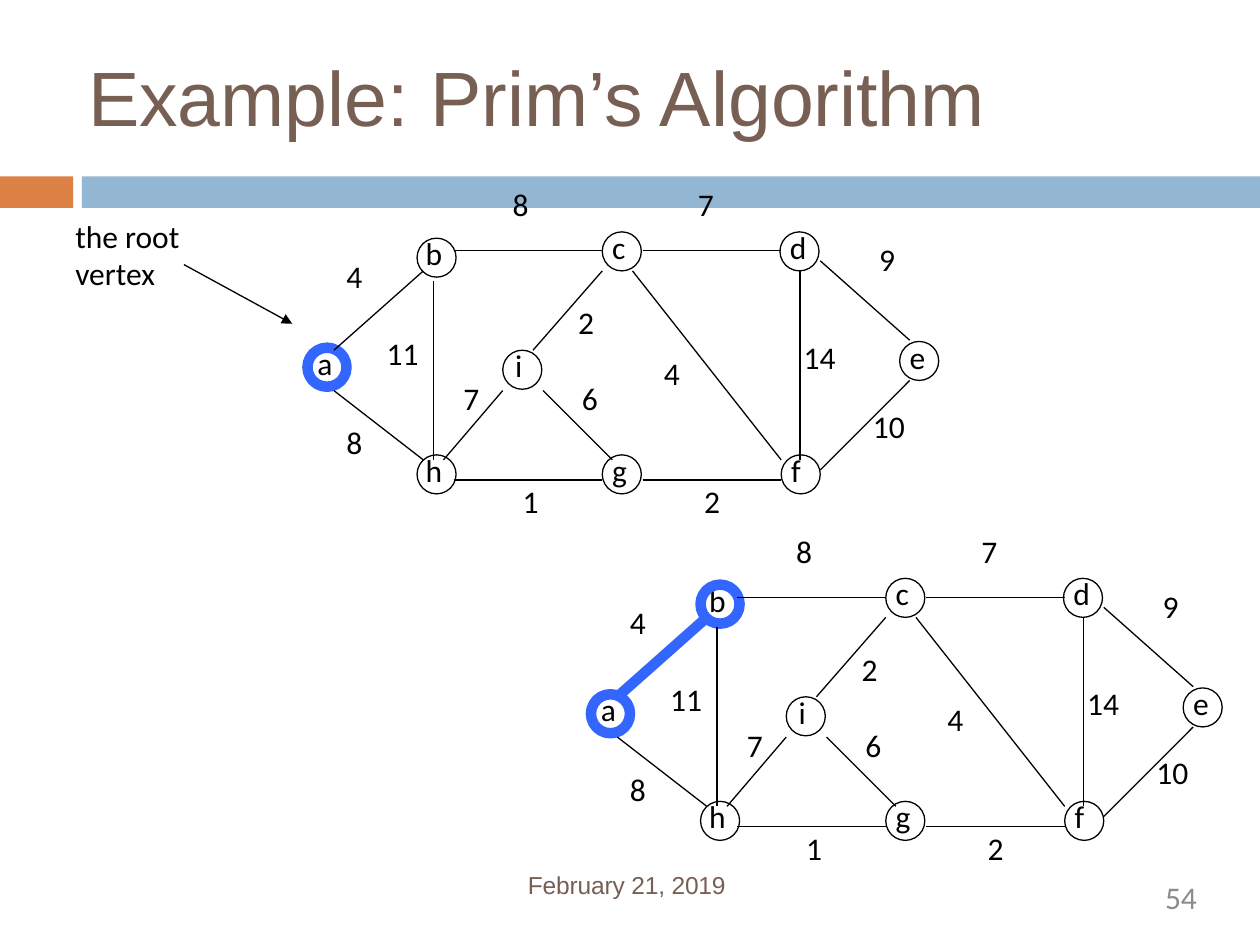
from pptx import Presentation
from pptx.dml.color import RGBColor
from pptx.enum.shapes import MSO_CONNECTOR as CONN, MSO_SHAPE as SHAPE
from pptx.enum.text import MSO_ANCHOR as ANCHOR, MSO_AUTO_SIZE as AUTO, PP_ALIGN as ALIGN
from pptx.oxml.ns import qn
from pptx.util import Pt
from lxml import etree

PX = 9144
COLORS = {"title": "775F54", "orange": "DD8046", "band": "93B6D2",
          "ink": "000000", "picked": "3366FF", "number": "8C8C8C"}
THIN, THICK = 0.75, 6
NODE = 31

BANDS = [(0, 58, "orange"), (65, 935, "band")]
NODES = [
    ("a", 244, 276, -2, 32), ("b", 331, 189, -3, 34), ("h", 331, 361, -3, 34),
    ("c", 478, 184, -2, 32), ("d", 619, 184, -2, 34), ("e", 714, 271, -2, 32),
    ("f", 620, 361, -2, 29), ("g", 478, 361, -2, 34), ("i", 399, 278, 0, 28),
]
EDGES = [
    ("ab", 265, 278, 336, 215), ("ah", 265, 310, 336, 365),
    ("bh", 344, 223, 344, 365), ("bc", 360, 199, 478, 199),
    ("hg", 360, 381, 478, 381), ("gf", 510, 381, 620, 381),
    ("cf", 502, 215, 620, 365), ("cd", 510, 199, 620, 199),
    ("df", 635, 215, 635, 365), ("de", 651, 207, 722, 270),
    ("fe", 651, 373, 722, 302), ("ig", 431, 310, 486, 365),
    ("hi", 352, 365, 399, 310), ("ic", 423, 278, 478, 215),
]
WEIGHTS = [
    ("4", 265, 199), ("8", 397, 142), ("7", 544, 142), ("9", 688, 186),
    ("10", 683, 318), ("14", 628, 263), ("4", 517, 276), ("2", 449, 236),
    ("2", 549, 378), ("6", 452, 296), ("1", 405, 378), ("7", 358, 296),
    ("11", 297, 260), ("8", 265, 331),
]
STEPS = [(0, 0, {"a"}), (225, 275, {"a", "b", "ab"})]


def rgb(name):
    return RGBColor.from_string(COLORS[name])


def emu(*values):
    return [v * PX for v in values]


def write(sp, text, size=18, font="Calibri", color="ink", align=ALIGN.LEFT,
          wrap=True, inset=True, anchor=ANCHOR.TOP, leading=None, spacing=None):
    tf = sp.text_frame
    tf.word_wrap, tf.vertical_anchor = wrap, anchor
    tf.auto_size = AUTO.SHAPE_TO_FIT_TEXT
    if not inset:
        tf.margin_left = tf.margin_top = tf.margin_right = tf.margin_bottom = 0
    p = tf.paragraphs[0]
    p.alignment = align
    if leading:
        p.line_spacing = Pt(leading)
    r = p.add_run()
    r.text = text
    r.font.size, r.font.name = Pt(size), font
    r.font.color.rgb = rgb(color)
    if spacing:
        r.font._element.set("spc", str(spacing))


def add_text(shapes, text, x, y, w, h, **style):
    write(shapes.add_textbox(*emu(x, y, w, h)), text, **style)


def add_line(shapes, x1, y1, x2, y2, color="ink", width=THIN, arrow=False):
    line = shapes.add_connector(CONN.STRAIGHT, *emu(x1, y1, x2, y2))
    line.line.color.rgb, line.line.width = rgb(color), Pt(width)
    if arrow:
        etree.SubElement(line.line._get_or_add_ln(), qn("a:tailEnd"), type="triangle")
    etree.SubElement(line._element.spPr, qn("a:effectLst"))


def pen(name, picked):
    return ("picked", THICK) if name in picked else ("ink", THIN)


def add_graph(slide, dx, dy, picked):
    shapes = slide.shapes.add_group_shape().shapes
    for name, x, y, shift, w in NODES:
        add_text(shapes, name, x + dx + shift, y + dy - 8, w, 43, wrap=name == "i")
        sp = shapes.add_shape(SHAPE.OVAL, *emu(x + dx, y + dy, NODE, NODE))
        sp.shadow.inherit = False
        sp.fill.background()
        color, width = pen(name, picked)
        sp.line.color.rgb, sp.line.width = rgb(color), Pt(width)
    for name, x1, y1, x2, y2 in EDGES:
        add_line(shapes, x1 + dx, y1 + dy, x2 + dx, y2 + dy, *pen(name, picked))
    for text, x, y in WEIGHTS:
        add_text(shapes, text, x + dx, y + dy, 21 + 16 * len(text), 50, wrap=False)


def main():
    prs = Presentation()
    prs.slide_width, prs.slide_height = emu(1000, 750)
    slide = prs.slides.add_slide(prs.slide_layouts[5])
    shapes = slide.shapes

    for x, w, color in BANDS:
        sp = shapes.add_shape(SHAPE.RECTANGLE, *emu(x, 140, w, 25))
        sp.shadow.inherit = False
        sp.fill.solid()
        sp.fill.fore_color.rgb = rgb(color)
        sp.line.fill.background()

    title = shapes.title
    title.left, title.top, title.width, title.height = emu(70, 38, 860, 76)
    write(title, "Example: Prim’s Algorithm", size=44, font="Arial", color="title",
          inset=False, anchor=ANCHOR.MIDDLE)
    add_text(shapes, "February 21, 2019", 419, 692, 232, 24, size=14, font="Arial",
             color="title", inset=False, leading=15.8, spacing=-10)
    add_text(shapes, "54", 720, 697, 230, 38, color="number", align=ALIGN.RIGHT,
             inset=False)

    for dx, dy, picked in STEPS:
        add_graph(slide, dx, dy, picked)

    add_text(shapes, "the root vertex", 50, 167, 134, 90)
    add_line(shapes, 146, 210, 232, 257, arrow=True)
    prs.save("out.pptx")


if __name__ == "__main__":
    main()
